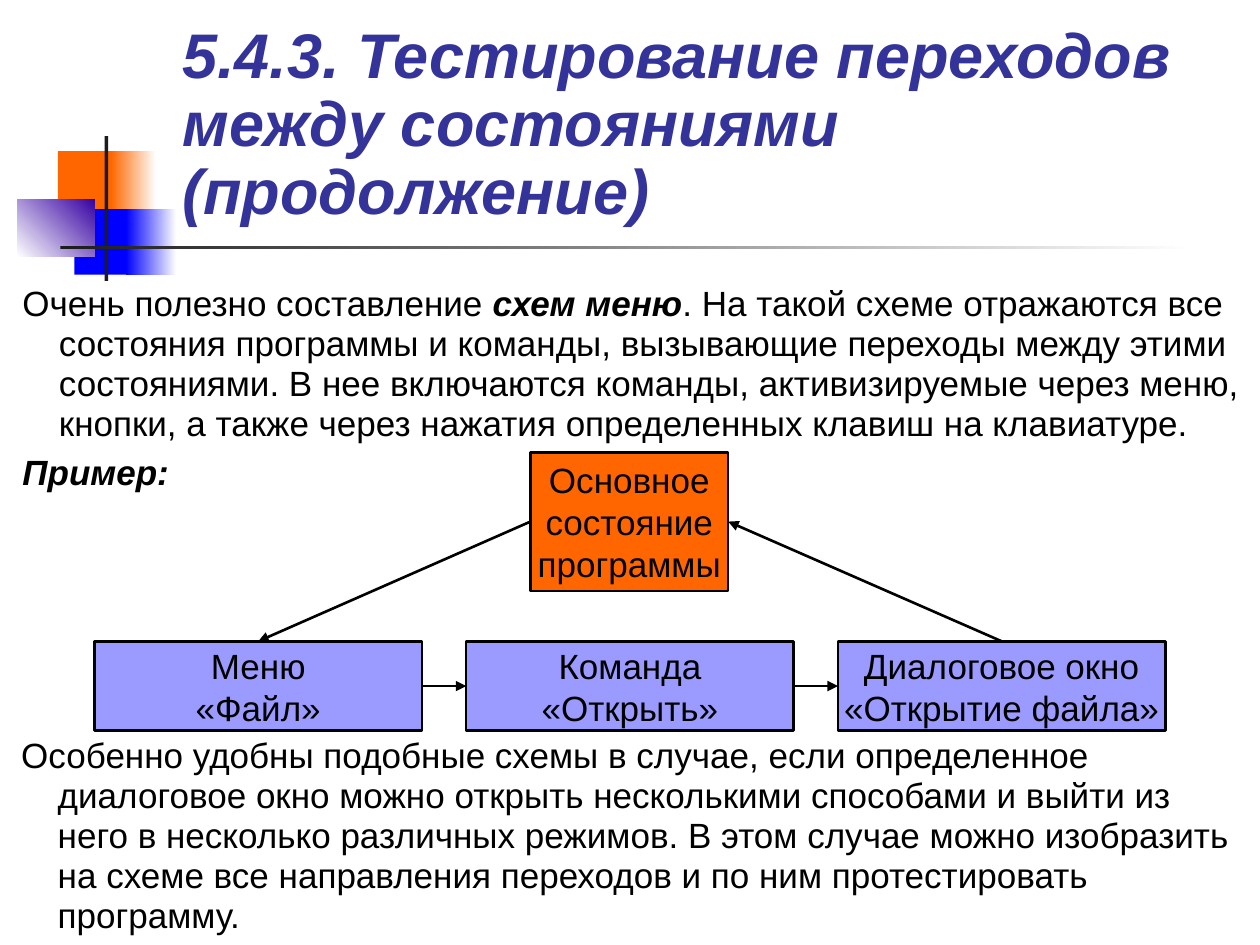
from pptx import Presentation
from pptx.dml.color import RGBColor
from pptx.enum.shapes import MSO_CONNECTOR, MSO_SHAPE
from pptx.enum.text import MSO_ANCHOR, PP_ALIGN
from pptx.oxml.ns import qn
from pptx.util import Inches, Pt
from lxml.etree import SubElement

BLACK, WHITE, ORANGE, BLUE = "000000", "FFFFFF", "FF6600", "0000FF"
DARK, PURPLE, LILAC, TITLE_BLUE = "1C1C1C", "3702A2", "9B9BFF", "333399"
TOP, LEFT, RIGHT = 0, 1, 3

INTRO = [
    [("Очень полезно составление ", False), ("схем меню", True),
     (". На такой схеме отражаются все состояния программы и команды, "
      "вызывающие переходы между этими состояниями. В нее включаются команды, "
      "активизируемые через меню, кнопки, а также через нажатия определенных "
      "клавиш на клавиатуре.", False)],
    [("Пример:", True)],
]
CONCLUSION = [[(
    "Особенно удобны подобные схемы в случае, если определенное диалоговое окно "
    "можно открыть несколькими способами и выйти из него в несколько различных "
    "режимов. В этом случае можно изобразить на схеме все направления переходов "
    "и по ним протестировать программу.", False)]]


def color(value):
    return RGBColor.from_string(value)


def format_font(font, size, value, emphasis=False):
    font.name = "Arial"
    font.size = Pt(size)
    font.color.rgb = color(value)
    font.bold = font.italic = emphasis


def add_rectangle(slide, left, top, width, height):
    shape = slide.shapes.add_shape(
        MSO_SHAPE.RECTANGLE, Inches(left), Inches(top), Inches(width), Inches(height))
    shape.shadow.inherit = False
    return shape


def add_ornament(slide, box, start, end=None, angle=0):
    """Add a borderless rectangle, solid or fading from start to end."""
    shape = add_rectangle(slide, *box)
    shape.line.fill.background()
    if end is None:
        shape.fill.solid()
        shape.fill.fore_color.rgb = color(start)
        return
    shape.fill.gradient()
    shape.fill.gradient_angle = angle
    for stop, position, value in zip(shape.fill.gradient_stops, (0, 1), (start, end)):
        stop.position = position
        stop.color.rgb = color(value)


def add_state(slide, box, fill, lines):
    shape = add_rectangle(slide, *box)
    shape.fill.solid()
    shape.fill.fore_color.rgb = color(fill)
    shape.line.color.rgb = color(BLACK)
    shape.line.width = Pt(1.5)
    text_frame = shape.text_frame
    text_frame.word_wrap = False
    text_frame.vertical_anchor = MSO_ANCHOR.MIDDLE
    text_frame.text = "\n".join(lines)
    for paragraph in text_frame.paragraphs:
        paragraph.alignment = PP_ALIGN.CENTER
        format_font(paragraph.runs[0].font, 20, BLACK)
    return shape


def add_transition(slide, source, source_side, target, target_side):
    connector = slide.shapes.add_connector(MSO_CONNECTOR.STRAIGHT, 0, 0, 0, 0)
    connector.begin_connect(source, source_side)
    connector.end_connect(target, target_side)
    connector.line.color.rgb = color(BLACK)
    connector.line.width = Pt(1.5)
    SubElement(connector.line._get_or_add_ln(), qn("a:tailEnd"), type="triangle")
    SubElement(connector._element.spPr, qn("a:effectLst"))


def add_text_box(slide, left, top, width, height):
    shape = slide.shapes.add_textbox(
        Inches(left), Inches(top), Inches(width), Inches(height))
    shape.text_frame.word_wrap = True
    return shape.text_frame


def add_title(slide, text):
    text_frame = add_text_box(slide, 1.35, 0.13, 8.53, 1.73)
    text_frame.vertical_anchor = MSO_ANCHOR.BOTTOM
    text_frame.text = text
    paragraph = text_frame.paragraphs[0]
    paragraph.line_spacing = 0.9
    format_font(paragraph.runs[0].font, 36, TITLE_BLUE, True)


def add_body(slide, box, paragraphs):
    """Add hanging paragraphs, each a list of (text, emphasis) runs."""
    text_frame = add_text_box(slide, *box)
    for index, runs in enumerate(paragraphs):
        paragraph = text_frame.add_paragraph() if index else text_frame.paragraphs[0]
        paragraph.line_spacing = 0.95
        paragraph.space_before = Pt(5 if index else 0)
        properties = paragraph._p.get_or_add_pPr()
        properties.set("marL", str(Inches(0.29)))
        properties.set("indent", str(-Inches(0.29)))
        for text, emphasis in runs:
            run = paragraph.add_run()
            run.text = text
            format_font(run.font, 20, BLACK, emphasis)


def add_decoration(slide):
    add_ornament(slide, (0.46, 1.2, 0.48, 0.52), ORANGE)
    add_ornament(slide, (0.88, 1.2, 0.36, 0.52), ORANGE, WHITE)
    add_ornament(slide, (0.59, 1.66, 0.46, 0.52), BLUE)
    add_ornament(slide, (1, 1.66, 0.4, 0.52), BLUE, WHITE)
    add_ornament(slide, (0.14, 1.58, 0.61, 0.46), WHITE, PURPLE, 45)
    add_ornament(slide, (0.83, 1.08, 0.03, 1.15), DARK)
    add_ornament(slide, (0.48, 1.95, 9, 0.03), DARK, WHITE)


def add_menu_scheme(slide):
    main_state = add_state(slide, (4.21, 3.59, 1.57, 1.1), ORANGE,
                           ["Основное", "состояние", "программы"])
    steps = [["Меню", "«Файл»"], ["Команда", "«Открыть»"],
             ["Диалоговое окно", "«Открытие файла»"]]
    menu, command, dialog = [
        add_state(slide, (0.75 + 2.95 * index, 5.09, 2.6, 0.71), LILAC, lines)
        for index, lines in enumerate(steps)]
    add_transition(slide, main_state, LEFT, menu, TOP)
    add_transition(slide, menu, RIGHT, command, LEFT)
    add_transition(slide, command, RIGHT, dialog, LEFT)
    add_transition(slide, dialog, TOP, main_state, RIGHT)


def main():
    presentation = Presentation()
    presentation.slide_width = Inches(10)
    presentation.slide_height = Inches(7.5)
    slide = presentation.slides.add_slide(presentation.slide_layouts[6])
    add_decoration(slide)
    add_title(slide, "5.4.3. Тестирование переходов между состояниями (продолжение)")
    add_body(slide, (0.08, 2.21, 9.86, 2.09), INTRO)
    add_menu_scheme(slide)
    add_body(slide, (0.07, 5.8, 9.86, 1.7), CONCLUSION)
    presentation.save("out.pptx")


if __name__ == "__main__":
    main()
